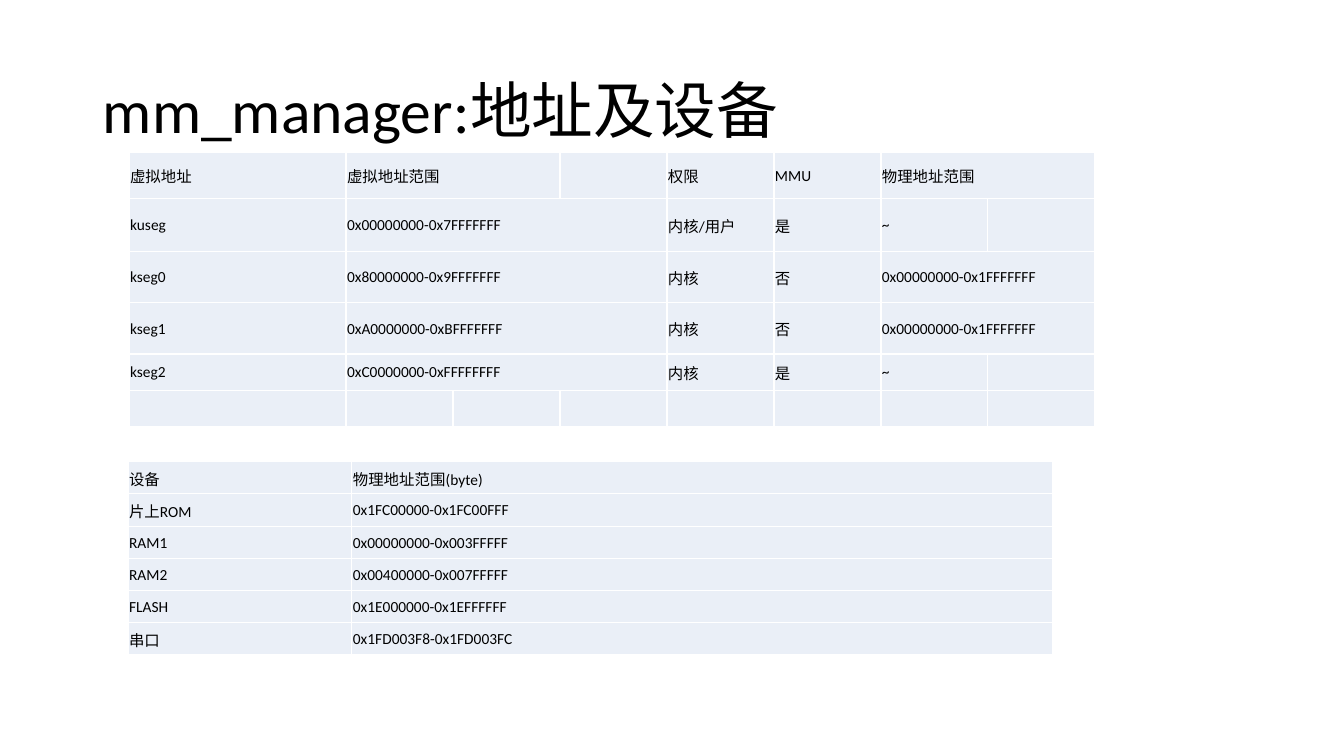
from pptx import Presentation
from pptx.dml.color import RGBColor
from pptx.enum.text import MSO_ANCHOR, PP_ALIGN
from pptx.util import Inches, Pt

MIDDLE = MSO_ANCHOR.MIDDLE
LEFT = PP_ALIGN.LEFT
FONT = "Calibri"
COLORS = {"page": "FFFFFF", "cell": "EAEFF7", "ink": "000000"}

SEGMENTS = [
    [("虚拟地址", 1), ("虚拟地址范围", 2), ("", 1), ("权限", 1), ("MMU", 1), ("物理地址范围", 2)],
    [("kuseg", 1), ("0x00000000-0x7FFFFFFF", 3), ("内核/用户", 1), ("是", 1), ("~", 1), ("", 1)],
    [("kseg0", 1), ("0x80000000-0x9FFFFFFF", 3), ("内核", 1), ("否", 1), ("0x00000000-0x1FFFFFFF", 2)],
    [("kseg1", 1), ("0xA0000000-0xBFFFFFFF", 3), ("内核", 1), ("否", 1), ("0x00000000-0x1FFFFFFF", 2)],
    [("kseg2", 1), ("0xC0000000-0xFFFFFFFF", 3), ("内核", 1), ("是", 1), ("~", 1), ("", 1)],
    [("", 1)] * 8,
]
DEVICES = [
    [("设备", 1), ("物理地址范围(byte)", 1)],
    [("片上ROM", 1), ("0x1FC00000-0x1FC00FFF", 1)],
    [("RAM1", 1), ("0x00000000-0x003FFFFF", 1)],
    [("RAM2", 1), ("0x00400000-0x007FFFFF", 1)],
    [("FLASH", 1), ("0x1E000000-0x1EFFFFFF", 1)],
    [("串口", 1), ("0x1FD003F8-0x1FD003FC", 1)],
]


def color(name):
    """Return the named palette colour."""
    return RGBColor.from_string(COLORS[name])


def style_runs(paragraph, size):
    """Give every run of a paragraph the slide's font at one size."""
    for run in paragraph.runs:
        run.font.name = FONT
        run.font.size = Pt(size)
        run.font.bold = False
        run.font.color.rgb = color("ink")


def place_heading(heading, box, wording):
    """Write the slide title into its placeholder, moved to the box."""
    heading.left, heading.top, heading.width, heading.height = map(Inches, box)
    heading.text_frame.text = wording
    heading.text_frame.vertical_anchor = MIDDLE
    paragraph = heading.text_frame.paragraphs[0]
    paragraph.alignment = LEFT
    paragraph.line_spacing = 0.9
    style_runs(paragraph, 44)


def fill_cell(cell, wording):
    """Write one address cell with tight margins and a plain fill."""
    cell.fill.solid()
    cell.fill.fore_color.rgb = color("cell")
    cell.margin_left = cell.margin_right = cell.margin_top = Inches(0.01)
    cell.margin_bottom = 0
    cell.vertical_anchor = MIDDLE
    if wording:
        cell.text_frame.text = wording
        style_runs(cell.text_frame.paragraphs[0], 11)


def place_address_table(slide, box, entries, column_weights, row_weights):
    """Fill the box with a table whose tracks share it by weight."""
    left, top, width, height = map(Inches, box)
    table = slide.shapes.add_table(
        len(row_weights), len(column_weights), left, top, width, height).table
    table.first_row = table.horz_banding = False
    for column, weight in zip(table.columns, column_weights):
        column.width = int(width * weight / sum(column_weights))
    for row, weight in zip(table.rows, row_weights):
        row.height = int(height * weight / sum(row_weights))
    for row_index, entry in enumerate(entries):
        start = 0
        for wording, span in entry:
            cell = table.cell(row_index, start)
            if span > 1:
                cell.merge(table.cell(row_index, start + span - 1))
            fill_cell(cell, wording)
            start += span


def build_address_slide(deck):
    """Lay out the title, the segment table and the device table."""
    slide = deck.slides.add_slide(deck.slide_layouts[5])
    slide.background.fill.solid()
    slide.background.fill.fore_color.rgb = color("page")
    place_heading(slide.shapes.title, (0.92, 0.4, 11.5, 1.45), "mm_manager:地址及设备")
    place_address_table(slide, (1.28, 1.51, 9.58, 2.72), SEGMENTS,
                        [2.15] + [1.06] * 7, [0.46, 0.53, 0.51, 0.51, 0.36, 0.36])
    place_address_table(slide, (1.27, 4.58, 9.17, 1.92), DEVICES,
                        [2.22, 6.95], [1] * len(DEVICES))


deck = Presentation()
deck.slide_width, deck.slide_height = Inches(13.33), Inches(7.5)
build_address_slide(deck)
deck.save("out.pptx")
